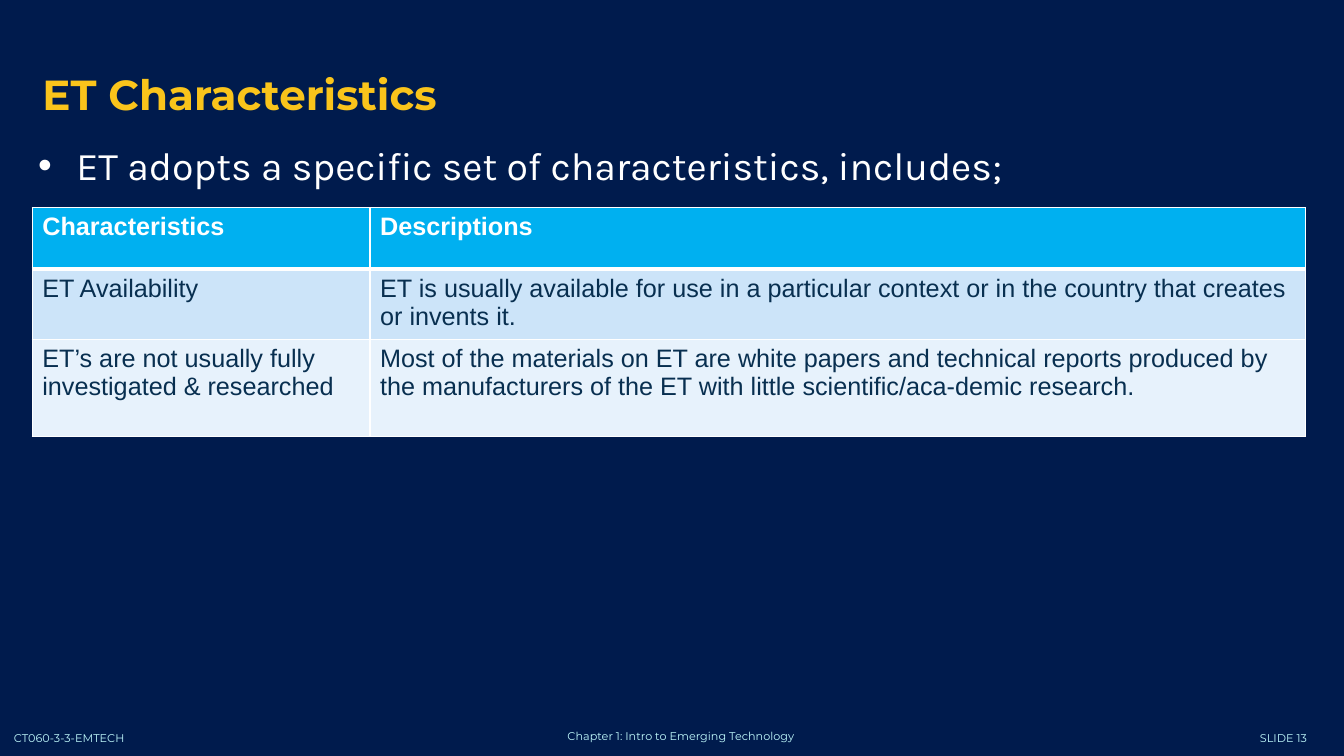
"""Builds the ET Characteristics slide with its table and footer."""
import lxml.etree
import pptx
import pptx.dml.color
import pptx.enum.text
import pptx.oxml.ns
import pptx.util
from pptx.util import Inches

COLORS = {
    "background": "001B4D", "title": "FAC41B", "white": "FFFFFF", "footer": "C0F9FC",
    "header": "00B0F0", "cell": "082F50", "band_dark": "CCE4F9", "band_light": "E7F2FC",
}
ALIGN = pptx.enum.text.PP_ALIGN
qn = pptx.oxml.ns.qn


def rgb(name):
    return pptx.dml.color.RGBColor.from_string(COLORS[name])


def write(text_frame, text, font_name, size, color, bold=False, align=ALIGN.LEFT):
    text_frame.word_wrap = True
    text_frame.text = text
    paragraph = text_frame.paragraphs[0]
    paragraph.alignment = align
    font = paragraph.runs[0].font
    font.name = font_name
    font.size = pptx.util.Pt(size)
    font.bold = bold
    font.color.rgb = rgb(color)
    return paragraph


presentation = pptx.Presentation()
presentation.slide_width = Inches(13.33)
presentation.slide_height = Inches(7.5)
slide = presentation.slides.add_slide(presentation.slide_layouts[5])
slide.background.fill.solid()
slide.background.fill.fore_color.rgb = rgb("background")

footers = [
    ("SLIDE 13", 11.88, 7.21, 1.7, ALIGN.CENTER),
    ("CT060-3-3-EMTECH", 0.04, 7.21, 2.9, ALIGN.LEFT),
    ("Chapter 1: Intro to Emerging Technology", 4.9, 7.19, 3.71, ALIGN.CENTER),
]
for text, left, top, width, align in footers:
    footer = slide.shapes.add_textbox(Inches(left), Inches(top), Inches(width), Inches(0.24))
    write(footer.text_frame, text, "Montserrat", 8, "footer", align=align)

title = slide.shapes.title
title.left, title.top = Inches(0.32), Inches(0.3)
title.width, title.height = Inches(11.44), Inches(1.25)
title.text_frame.vertical_anchor = pptx.enum.text.MSO_ANCHOR.MIDDLE
write(title.text_frame, "ET Characteristics", "Montserrat", 30, "title", bold=True)

body = slide.shapes.add_textbox(Inches(0.28), Inches(1.35), Inches(12.85), Inches(5.46))
intro = "ET adopts a specific set of characteristics, includes;"
paragraph = write(body.text_frame, intro, "Karla", 28, "white")
properties = paragraph._p.get_or_add_pPr()
properties.set("marL", str(Inches(0.38)))
properties.set("indent", str(Inches(-0.38)))
bullet_font = lxml.etree.SubElement(properties, qn("a:buFont"))
bullet_font.set("typeface", "Arial")
bullet = lxml.etree.SubElement(properties, qn("a:buChar"))
bullet.set("char", "•")

rows = [
    ("Characteristics", "Descriptions"),
    ("ET Availability",
     "ET is usually available for use in a particular context or in the country "
     "that creates or invents it."),
    ("ET’s are not usually fully investigated & researched",
     "Most of the materials on ET are white papers and technical reports produced by "
     "the manufacturers of the ET with little scientific/aca-demic research."),
]
row_heights = [0.61, 0.66, 0.96]
row_fills = ["header", "band_dark", "band_light"]
column_widths = [3.35, 9.28]
table = slide.shapes.add_table(
    len(rows), len(column_widths), Inches(0.32), Inches(2.06),
    Inches(sum(column_widths)), Inches(sum(row_heights))).table
for column, width in zip(table.columns, column_widths):
    column.width = Inches(width)

for row_index, texts in enumerate(rows):
    table.rows[row_index].height = Inches(row_heights[row_index])
    is_header = row_index == 0
    border_widths = {
        "a:lnL": 1, "a:lnR": 1,
        "a:lnT": 3 if row_index == 1 else 1,
        "a:lnB": 3 if is_header else 1,
    }
    for column_index, text in enumerate(texts):
        cell = table.cell(row_index, column_index)
        write(cell.text_frame, text, "Arial", 18, "white" if is_header else "cell", is_header)
        cell_properties = cell._tc.get_or_add_tcPr()
        for side, width in border_widths.items():
            border = lxml.etree.SubElement(cell_properties, qn(side))
            border.set("w", str(pptx.util.Pt(width)))
            border_fill = lxml.etree.SubElement(border, qn("a:solidFill"))
            lxml.etree.SubElement(border_fill, qn("a:srgbClr")).set("val", COLORS["white"])
        cell.fill.solid()
        cell.fill.fore_color.rgb = rgb(row_fills[row_index])

presentation.save("out.pptx")
